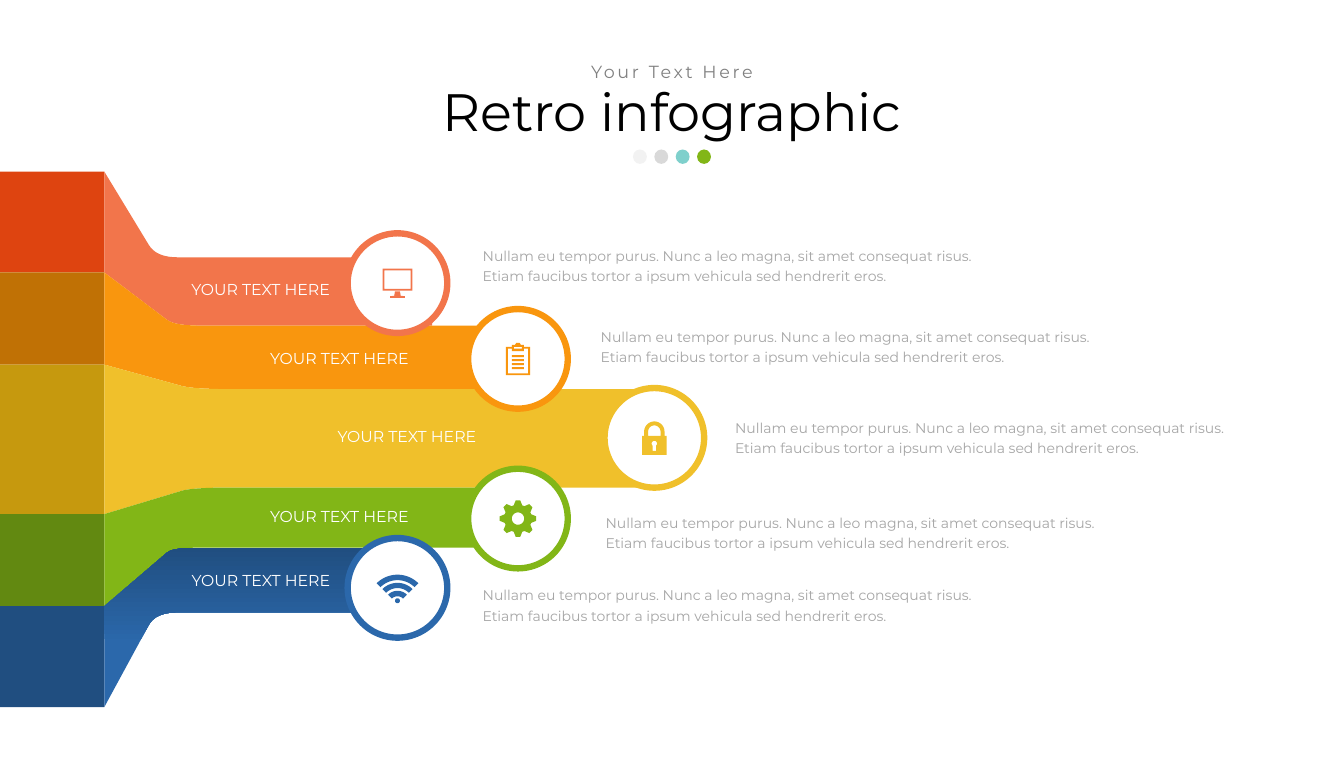
from math import cos, radians, sin

from pptx import Presentation
from pptx.dml.color import RGBColor
from pptx.enum.shapes import MSO_SHAPE as SHAPE
from pptx.enum.text import PP_ALIGN as ALIGN
from pptx.oxml.ns import qn
from pptx.util import Cm, Pt
from lxml.etree import SubElement

FONT = "Montserrat"
LABEL = "YOUR TEXT HERE"
BODY = ("Nullam eu tempor purus. Nunc a leo magna, sit amet consequat risus. "
        "Etiam faucibus tortor a ipsum vehicula sed hendrerit eros.")
COLORS = {
    "black": "000000", "white": "FFFFFF", "gray": "808080", "body": "A6A6A6",
    "pale": "F2F2F2", "silver": "D9D9D9", "teal": "00A39B",
    "red": "F2754B", "red_dark": "DE4410",
    "orange": "F9960E", "orange_dark": "C07105",
    "yellow": "F0C02B", "yellow_dark": "C6990E",
    "green": "82B617", "green_dark": "628911",
    "blue": "2B68AB", "blue_dark": "204E80",
}
FOLD = 4.2
RING = 4.01
# start y, bend x, bend y, flat x, flat y
EDGES = [
    (6.91, 5.99, 9.86, 7.14, 10.36),
    (10.97, 6.73, 12.88, 8.1, 13.11),
    (14.68, 7.32, 15.54, 9.4, 15.67),
    (20.7, 7.32, 19.76, 9.4, 19.63),
    (24.41, 6.73, 22.25, 8.1, 22.05),
    (28.47, 5.99, 25.17, 7.14, 24.66),
]


def rgb(name):
    return RGBColor.from_string(COLORS[name])


def add_text(slide, text, x, y, w, h, size, color, align=ALIGN.LEFT,
             line=None, spacing=None, inset=(0.25, 0.13)):
    tf = slide.shapes.add_textbox(Cm(x), Cm(y), Cm(w), Cm(h)).text_frame
    tf.word_wrap = True
    tf.margin_left = tf.margin_right = Cm(inset[0])
    tf.margin_top = tf.margin_bottom = Cm(inset[1])
    p = tf.paragraphs[0]
    p.alignment = align
    if line:
        p.line_spacing = line
    r = p.add_run()
    r.text = text
    r.font.name, r.font.size = FONT, Pt(size)
    r.font.color.rgb = rgb(color)
    if spacing:
        r.font._element.set("spc", str(spacing * 100))


def paint(sp, color, alpha=None):
    sp.shadow.inherit = False
    sp.fill.solid()
    sp.fill.fore_color.rgb = rgb(color)
    sp.line.fill.background()
    if alpha:
        clr = sp._element.spPr.find(qn("a:solidFill"))[0]
        SubElement(clr, qn("a:alpha")).set("val", str(alpha * 1000))


def add_preset(slide, kind, x, y, w, h, color, alpha=None):
    sp = slide.shapes.add_shape(kind, Cm(x), Cm(y), Cm(w), Cm(h))
    paint(sp, color, alpha)
    return sp


def add_outline(slide, contours, color, cx=0, cy=0):
    fb = None
    for contour in contours:
        points = [(Cm(cx + x), Cm(cy + y)) for x, y in contour]
        if fb is None:
            fb = slide.shapes.build_freeform(*points[0], scale=1.0)
        else:
            fb.move_to(*points[0])
        fb.add_line_segments(points[1:], close=True)
    sp = fb.convert_to_shape()
    paint(sp, color)
    return sp


def box(left, top, right, bottom):
    return [(left, top), (right, top), (right, bottom), (left, bottom)]


def arc(cy, radius, start=0, end=360, steps=24):
    angles = [radians(start + (end - start) * i / steps) for i in range(steps + 1)]
    return [(radius * cos(a), cy + radius * sin(a)) for a in angles]


def monitor():
    stand = [(-0.1, 0.33), (0.1, 0.33), (0.13, 0.51), (0.3, 0.53), (0.3, 0.59),
             (-0.3, 0.59), (-0.3, 0.53), (-0.13, 0.51)]
    return [box(-0.6, -0.58, 0.6, 0.3), box(-0.53, -0.51, 0.53, 0.23), stand]


def clipboard():
    outer = [(-0.49, -0.48), (-0.24, -0.48), (-0.24, -0.56), (-0.12, -0.56),
             (-0.07, -0.64), (0.07, -0.64), (0.12, -0.56), (0.24, -0.56),
             (0.24, -0.48), (0.49, -0.48), (0.49, 0.66), (-0.49, 0.66)]
    page = [(-0.41, -0.41), (-0.24, -0.41), (-0.24, -0.31), (0.24, -0.31),
            (0.24, -0.41), (0.41, -0.41), (0.41, 0.58), (-0.41, 0.58)]
    rows = [box(-0.24, -0.15 + 0.16 * i, 0.24, -0.07 + 0.16 * i) for i in range(4)]
    return [outer, page, box(-0.16, -0.48, 0.16, -0.41), *rows]


def lock():
    body = [(-0.49, 0.69), (-0.49, -0.08), (-0.41, -0.08),
            *arc(-0.25, 0.41, 180, 360), (0.41, -0.08), (0.49, -0.08), (0.49, 0.69)]
    gap = [(-0.25, -0.08), *arc(-0.25, 0.25, 180, 360), (0.25, -0.08)]
    keyhole = [*arc(0.23, 0.11, 130, 410), (0.07, 0.53), (-0.07, 0.53)]
    return [body, gap, keyhole]


def gear():
    tooth = [(0.56, -18), (0.74, -7), (0.74, 7), (0.56, 18)]
    rim = [(r * cos(radians(45 * i + a)), r * sin(radians(45 * i + a)))
           for i in range(8) for r, a in tooth]
    return [rim, arc(0, 0.25)]


def wifi():
    bands = [arc(0.66, outer, 225, 315) + arc(0.66, inner, 315, 225)
             for outer, inner in ((1.19, 0.97), (0.86, 0.65), (0.54, 0.32))]
    return [*bands, arc(0.52, 0.1)]


def ribbon_edge(start, bend_x, bend_y, flat_x, flat_y, end, steps=10):
    slope = (bend_y - start) / (bend_x - FOLD)
    corner_x = FOLD + (flat_y - start) / slope
    curve = []
    for i in range(steps + 1):
        t = i / steps
        a, b, c = (1 - t) ** 2, 2 * t * (1 - t), t * t
        curve.append((a * bend_x + b * corner_x + c * flat_x,
                      a * bend_y + (b + c) * flat_y))
    return [(FOLD, start), *curve, (end, flat_y)]


def add_ribbon(slide, top, bottom, end, color):
    add_preset(slide, SHAPE.RECTANGLE, 0, top[0], FOLD, bottom[0] - top[0],
               color + "_dark")
    contour = ribbon_edge(*top, end) + ribbon_edge(*bottom, end)[::-1]
    sp = add_outline(slide, [contour], color)
    if color == "blue":
        sp.fill.gradient()
        sp.fill.gradient_angle = 90
        for stop, (pos, name) in zip(sp.fill.gradient_stops,
                                     ((0.4, "blue"), (1, "blue_dark"))):
            stop.position = pos
            stop.color.rgb = rgb(name)


def add_badge(slide, cx, cy, icon, color):
    sp = add_preset(slide, SHAPE.OVAL, cx - RING / 2, cy - RING / 2, RING, RING, "white")
    sp.line.color.rgb = rgb(color)
    sp.line.width = Pt(7.25)
    add_outline(slide, icon(), color, cx, cy)


def add_header(slide):
    add_text(slide, "Retro infographic", 2.59, 3.33, 48.92, 2.62, 60, "black",
             align=ALIGN.CENTER, line=0.9)
    add_text(slide, "Your Text Here", 19, 2.41, 16.1, 0.89, 20, "gray",
             align=ALIGN.CENTER, line=0.9, spacing=3)
    dots = (("pale", None), ("silver", 98), ("teal", 50), ("green", None))
    for i, (color, alpha) in enumerate(dots):
        add_preset(slide, SHAPE.OVAL, 25.48 + 0.86 * i, 6.02, 0.56, 0.58, color, alpha)


def main():
    prs = Presentation()
    prs.slide_width, prs.slide_height = Cm(54.1), Cm(30.48)
    slide = prs.slides.add_slide(prs.slide_layouts[6])
    add_header(slide)
    # color, ribbon end, icon, badge centre, label corner, body corner
    items = [
        ("red", 17.4, monitor, (16, 11.4), (7.29, 11.05), (19.18, 9.7)),
        ("orange", 21.67, clipboard, (20.85, 14.45), (10.46, 13.84), (23.93, 12.95)),
        ("yellow", 26.34, lock, (26.34, 17.63), (13.18, 16.99), (29.34, 16.61)),
        ("green", 21.67, gear, (20.85, 20.88), (10.46, 20.22), (24.13, 20.45)),
        ("blue", 17.4, wifi, (16, 23.67), (7.3, 22.78), (19.18, 23.37)),
    ]
    for item, top, bottom in zip(items, EDGES, EDGES[1:]):
        add_ribbon(slide, top, bottom, item[1], item[0])
    for color, _, icon, centre, label, body in items:
        add_badge(slide, *centre, icon, color)
        add_text(slide, LABEL, *label, 8.66, 1.4, 18, "white", inset=(0.41, 0.2))
        add_text(slide, BODY, *body, 20.4, 1.9, 16, "body", line=1.2)
    prs.save("out.pptx")


if __name__ == "__main__":
    main()
